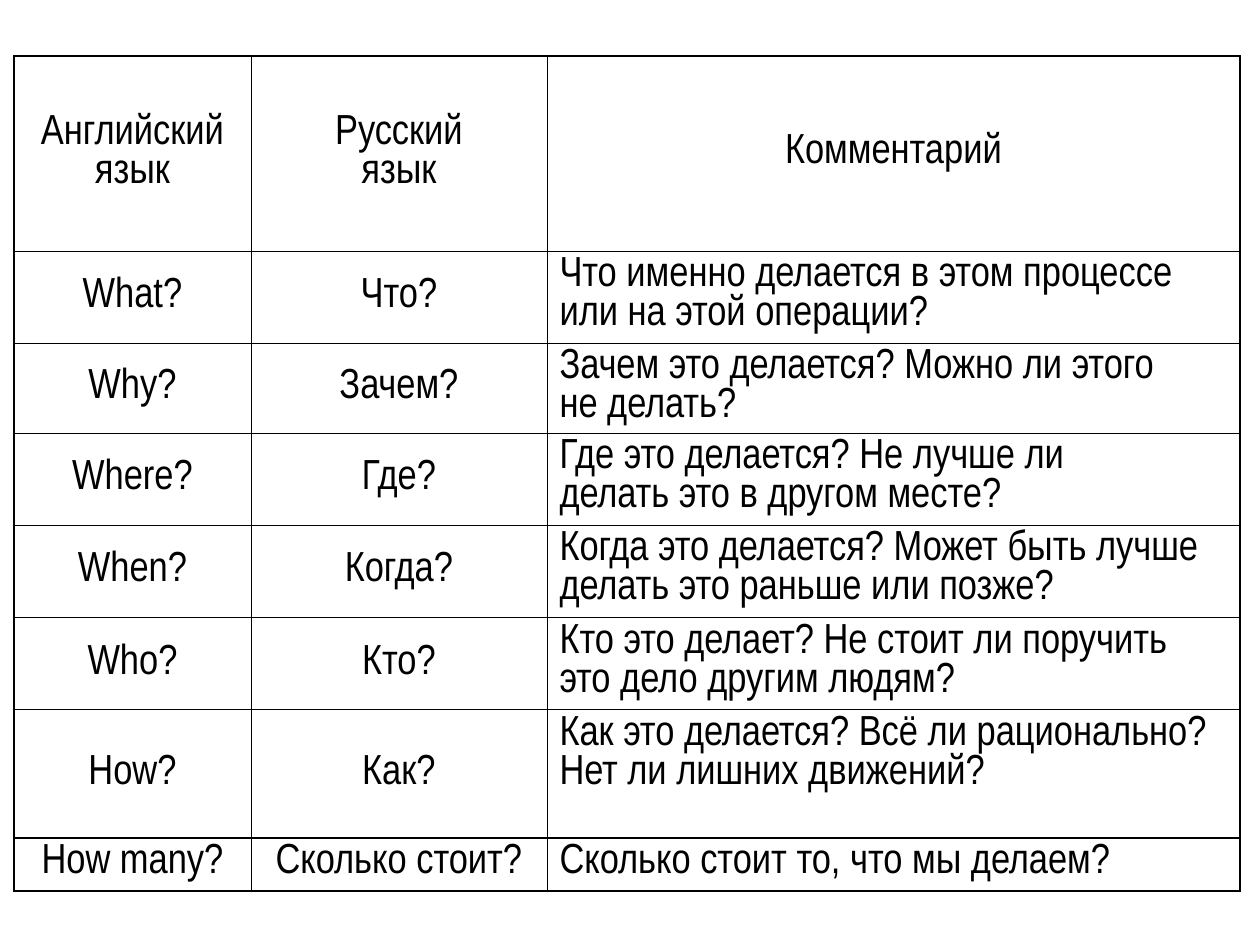
from lxml import etree
from pptx import Presentation
from pptx.dml.color import RGBColor
from pptx.enum.text import MSO_ANCHOR, PP_ALIGN
from pptx.oxml.ns import qn
from pptx.util import Emu, Pt

CENTER, LEFT = PP_ALIGN.CENTER, PP_ALIGN.LEFT
MIDDLE, TOP = MSO_ANCHOR.MIDDLE, MSO_ANCHOR.TOP
EMU_PER_PX = 914400 / 126
COLORS = {"ink": "000000"}
FONT = "Arial Narrow"
THICK, THIN = 1.08, 0.45
COLUMN_WIDTHS = [237, 296, 693]
ROW_HEIGHTS = [195, 92, 90, 92, 93, 92, 128, 53]
ROWS = [
    ("Английский язык", "Русский\nязык", "Комментарий"),
    ("What?", "Что?", "Что именно делается в этом процессе или на этой операции?"),
    ("Why?", "Зачем?", "Зачем это делается? Можно ли этого\nне делать?"),
    ("Where?", "Где?", "Где это делается? Не лучше ли\nделать это в другом месте?"),
    ("When?", "Когда?", "Когда это делается? Может быть лучше делать это раньше или позже?"),
    ("Who?", "Кто?", "Кто это делает? Не стоит ли поручить это дело другим людям?"),
    ("How?", "Как?", "Как это делается? Всё ли рационально? Нет ли лишних движений?"),
    ("How many?", "Сколько стоит?", "Сколько стоит то, что мы делаем?"),
]


def px(length):
    """Turn pixels into EMU."""
    return Emu(round(length * EMU_PER_PX))


def write_text(cell, text, align=LEFT, anchor=TOP, size=24, spacing=22, color="ink"):
    """Fill a cell with formatted text, one paragraph per line."""
    cell.vertical_anchor = anchor
    cell.text_frame.text = text
    for paragraph in cell.text_frame.paragraphs:
        paragraph.alignment = align
        paragraph.line_spacing = Pt(spacing)
        paragraph.font.name = FONT
        paragraph.font.size = Pt(size)
        paragraph.font.color.rgb = RGBColor.from_string(COLORS[color])


def set_borders(cell, **widths):
    """Draw solid cell borders, given as side=points in schema order."""
    properties = cell._tc.get_or_add_tcPr()
    for side, width in widths.items():
        line = etree.SubElement(properties, qn(f"a:ln{side}"), w=str(Pt(width)))
        fill = etree.SubElement(line, qn("a:solidFill"))
        etree.SubElement(fill, qn("a:srgbClr"), val=COLORS["ink"])


def add_question_table(slide):
    """Add the table of questions with a thick frame and thin inner rules."""
    last_row, last_column = len(ROWS) - 1, len(COLUMN_WIDTHS) - 1
    table = slide.shapes.add_table(
        len(ROWS), len(COLUMN_WIDTHS), px(14), px(56),
        px(sum(COLUMN_WIDTHS)), px(sum(ROW_HEIGHTS))).table
    table.first_row = table.horz_banding = False
    for column, width in zip(table.columns, COLUMN_WIDTHS):
        column.width = px(width)
    for row_index, texts in enumerate(ROWS):
        table.rows[row_index].height = px(ROW_HEIGHTS[row_index])
        for column_index, text in enumerate(texts):
            cell = table.cell(row_index, column_index)
            is_comment = row_index > 0 and column_index == last_column
            write_text(cell, text, align=LEFT if is_comment else CENTER,
                       anchor=TOP if is_comment or row_index == last_row else MIDDLE)
            set_borders(cell,
                        L=THICK if column_index == 0 else THIN,
                        R=THICK if column_index == last_column else THIN,
                        T=THICK if row_index in (0, last_row) else THIN,
                        B=THICK if row_index >= last_row - 1 else THIN)
            cell.fill.background()


def main():
    """Build and save the presentation."""
    presentation = Presentation()
    presentation.slide_width, presentation.slide_height = px(1260), px(945)
    slide = presentation.slides.add_slide(presentation.slide_layouts[6])
    add_question_table(slide)
    presentation.save("out.pptx")


if __name__ == "__main__":
    main()
